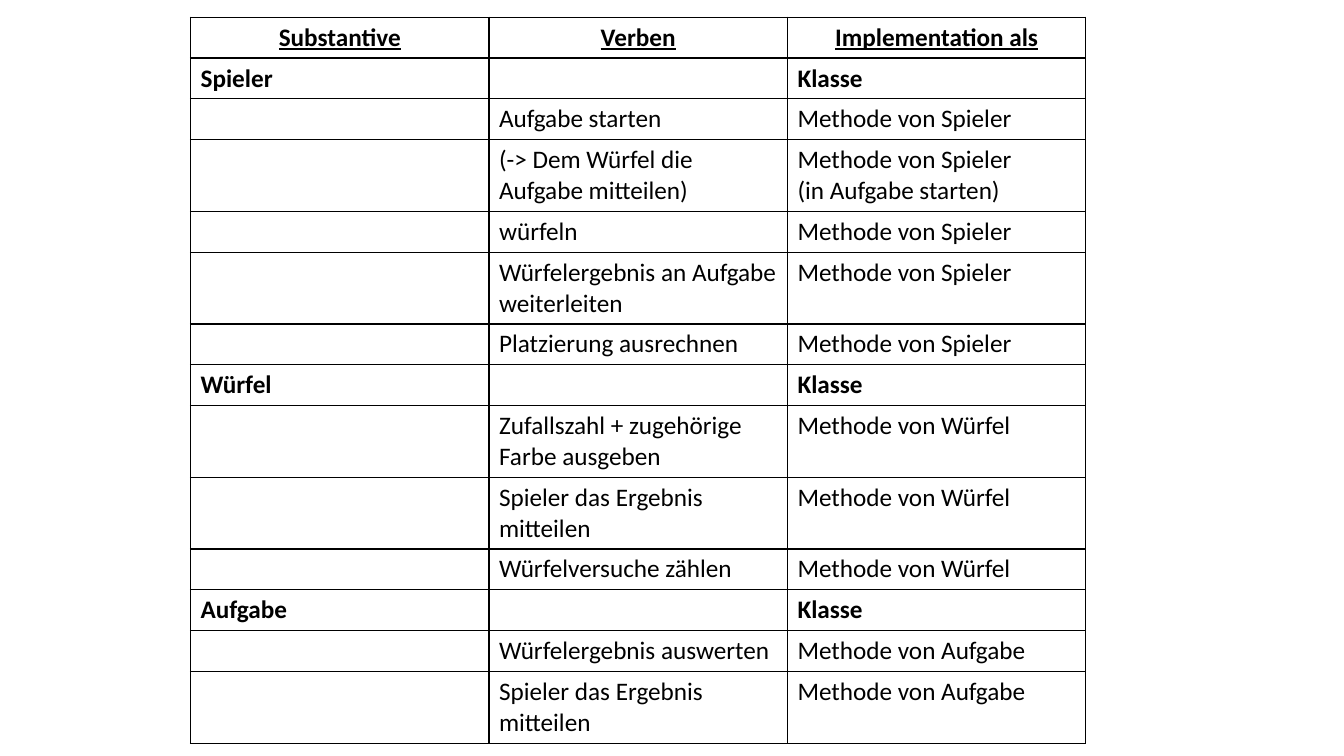
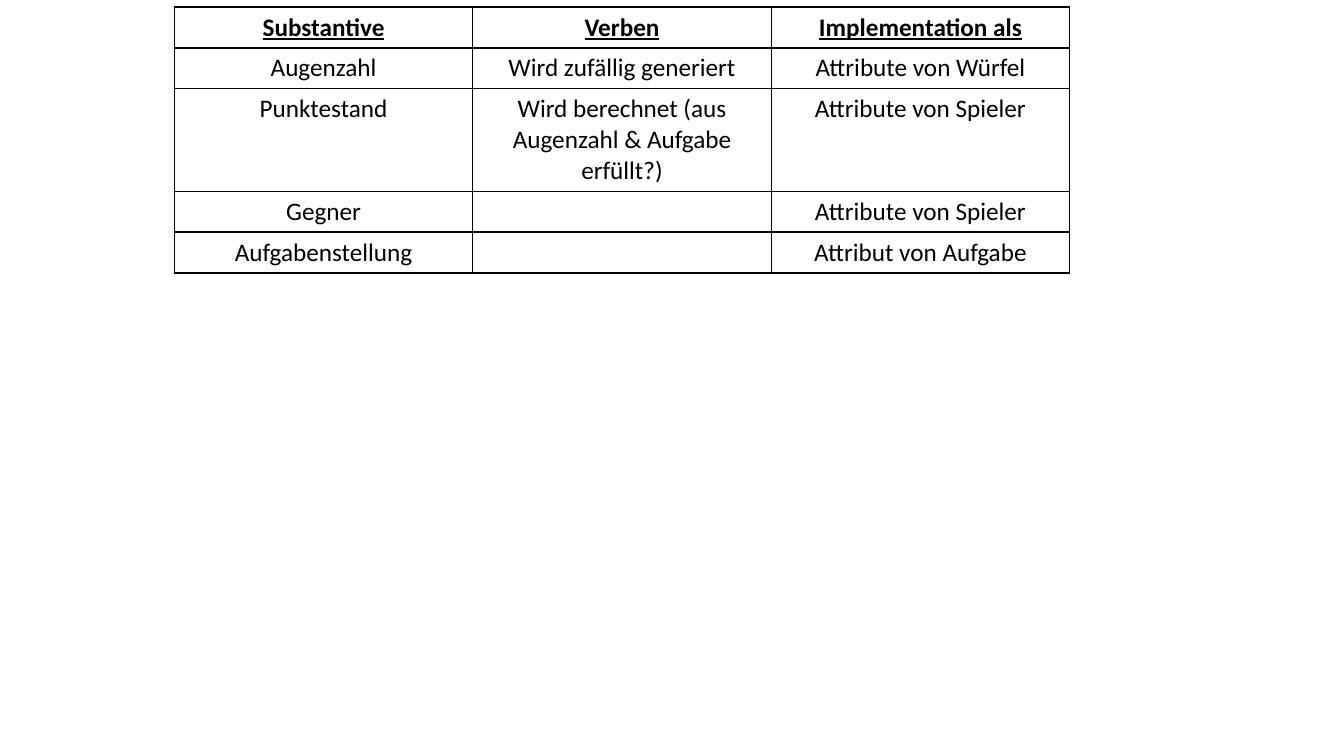
from lxml.etree import SubElement
from pptx import Presentation
from pptx.dml.color import RGBColor
from pptx.enum.text import PP_ALIGN
from pptx.oxml.ns import qn
from pptx.util import Inches, Pt

# Content
HEADER = ("Substantive", "Verben", "Implementation als")
CLASS = "Klasse"

METHODS = [
    ("Spieler", "", CLASS),
    ("", "Aufgabe starten", "Methode von Spieler"),
    ("", "(-> Dem Würfel die Aufgabe mitteilen)",
     "Methode von Spieler\n(in Aufgabe starten)"),
    ("", "würfeln", "Methode von Spieler"),
    ("", "Würfelergebnis an Aufgabe weiterleiten", "Methode von Spieler"),
    ("", "Platzierung ausrechnen", "Methode von Spieler"),
    ("Würfel", "", CLASS),
    ("", "Zufallszahl + zugehörige Farbe ausgeben", "Methode von Würfel"),
    ("", "Spieler das Ergebnis mitteilen", "Methode von Würfel"),
    ("", "Würfelversuche zählen", "Methode von Würfel"),
    ("Aufgabe", "", CLASS),
    ("", "Würfelergebnis auswerten", "Methode von Aufgabe"),
    ("", "Spieler das Ergebnis mitteilen", "Methode von Aufgabe"),
]

ATTRIBUTES = [
    ("Augenzahl", "Wird zufällig generiert", "Attribute von Würfel"),
    ("Punktestand", "Wird berechnet (aus Augenzahl & Aufgabe erfüllt?)",
     "Attribute von Spieler"),
    ("Gegner", "", "Attribute von Spieler"),
    ("Aufgabenstellung", "", "Attribut von Aufgabe"),
]

# Left, top, body rows, body alignment
SLIDES = [
    (1.89, 0.17, METHODS, PP_ALIGN.LEFT),
    (1.73, 0.07, ATTRIBUTES, PP_ALIGN.CENTER),
]

# Shared style
COLORS = {"text": "000000", "border": "000000"}
FONT, SIZE = "Calibri", Pt(18)
COL_W, ROW_H = 2.96, 0.4  # rows grow with wrapped text
BORDER_W = Pt(1)


def set_borders(cell):
    tc_pr = cell._tc.get_or_add_tcPr()
    for position, side in enumerate(("a:lnL", "a:lnR", "a:lnT", "a:lnB")):
        ln = SubElement(tc_pr, qn(side), w=str(BORDER_W))
        fill = SubElement(ln, qn("a:solidFill"))
        SubElement(fill, qn("a:srgbClr"), val=COLORS["border"])
        tc_pr.insert(position, ln)


def write_cell(cell, text, align, bold, underline):
    cell.fill.background()
    set_borders(cell)
    p = cell.text_frame.paragraphs[0]
    p.alignment = align
    p.font.size = SIZE
    if not text:
        return
    for i, line in enumerate(text.split("\n")):
        if i:
            p.add_line_break()
        r = p.add_run()
        r.text = line
        r.font.name, r.font.size = FONT, SIZE
        r.font.bold, r.font.underline = bold, underline
        r.font.color.rgb = RGBColor.from_string(COLORS["text"])


def add_grid(s, left, top, body, body_align):
    rows = [HEADER] + body
    n_rows, n_cols = len(rows), len(HEADER)
    table = s.shapes.add_table(n_rows, n_cols, Inches(left), Inches(top),
                               Inches(COL_W * n_cols),
                               Inches(ROW_H * n_rows)).table
    table.first_row = table.horz_banding = False
    for col in table.columns:
        col.width = Inches(COL_W)
    for i, row in enumerate(rows):
        table.rows[i].height = Inches(ROW_H)
        is_header = i == 0
        align = PP_ALIGN.CENTER if is_header else body_align
        bold = is_header or row[-1] == CLASS
        for j, text in enumerate(row):
            write_cell(table.cell(i, j), text, align, bold, is_header)


# Build the slides
prs = Presentation()
prs.slide_width, prs.slide_height = Inches(13.33), Inches(7.5)
for left, top, body, body_align in SLIDES:
    s = prs.slides.add_slide(prs.slide_layouts[6])
    add_grid(s, left, top, body, body_align)
prs.save("out.pptx")
